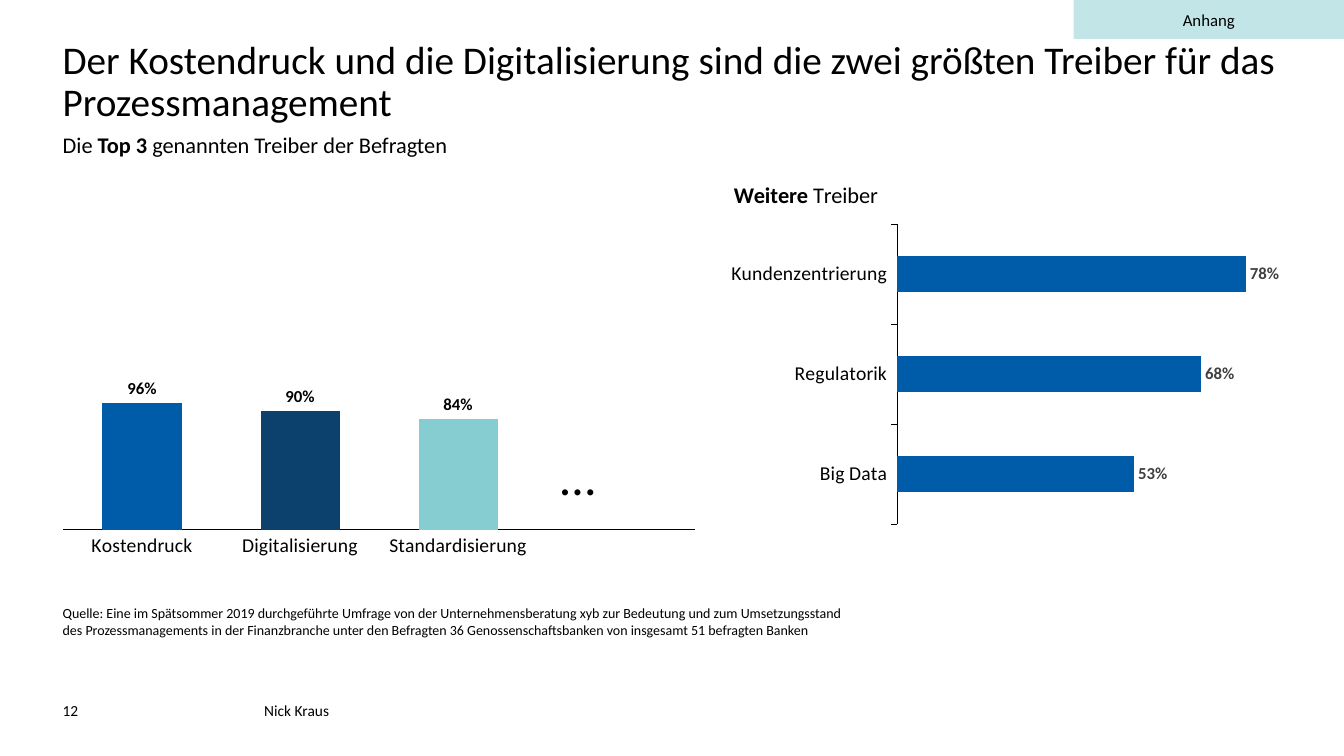
"""Build the slide on the drivers of process management."""
from dataclasses import dataclass
from typing import Optional

from lxml.etree import SubElement
from pptx import Presentation
from pptx.chart.chart import Chart
from pptx.chart.data import CategoryChartData
from pptx.dml.color import RGBColor
from pptx.enum.chart import XL_CHART_TYPE as ChartType
from pptx.enum.chart import XL_LABEL_POSITION as LabelPos
from pptx.enum.chart import XL_TICK_LABEL_POSITION as TickLabel
from pptx.enum.chart import XL_TICK_MARK as Tick
from pptx.enum.shapes import MSO_SHAPE as Shape
from pptx.enum.text import MSO_ANCHOR as Anchor
from pptx.enum.text import PP_ALIGN as Align
from pptx.oxml.ns import qn
from pptx.util import Cm, Pt

FONT = "Calibri"
COLORS = {
    "text": "000000",
    "label": "404040",
    "blue": "005CA9",
    "navy": "0C406D",
    "teal": "86CDD2",
    "tag": "C2E6E8",
}
LEFT = 1.58


@dataclass
class Box:
    x: float
    y: float
    w: float
    h: float

    def lengths(self) -> tuple:
        return Cm(self.x), Cm(self.y), Cm(self.w), Cm(self.h)


@dataclass
class Text:
    box: Box
    lines: list
    size: float
    bold: str = ""
    spacing: object = None
    anchor: Anchor = Anchor.TOP
    tabs: tuple = ()


@dataclass
class Title:
    x: float
    y: float
    line: str
    bold: str


@dataclass
class BarChart:
    box: Box
    plot: Box
    kind: ChartType
    cats: list
    values: list
    colors: list
    gap: int
    overlap: int
    top: float
    tick: Tick
    label_color: str
    title: Optional[Title] = None


TEXTS = [
    Text(Box(LEFT, 1.02, 30.71, 2.46),
         ["Der Kostendruck und die Digitalisierung sind die zwei größten "
          "Treiber für das Prozessmanagement"], 28, spacing=0.9),
    Text(Box(LEFT, 17.68, 9.45, 0.43), ["12\t\tNick Kraus"], 11,
         anchor=Anchor.MIDDLE, tabs=(2.54, 5.08)),
    Text(Box(LEFT, 3.3, 21.62, 0.91),
         ["Die Top 3 genannten Treiber der Befragten"], 16, bold="Top 3 "),
    Text(Box(LEFT, 15.24, 21.64, 1.19),
         ["Quelle: Eine im Spätsommer 2019 durchgeführte Umfrage von der "
          "Unternehmensberatung xyb zur Bedeutung und zum Umsetzungsstand",
          "des Prozessmanagements in der Finanzbranche unter den Befragten "
          "36 Genossenschaftsbanken von insgesamt 51 befragten Banken"], 10),
    Text(Box(14.12, 11.86, 2.79, 0.99), ["…"], 36, spacing=Pt(25)),
]

CHARTS = [
    BarChart(Box(LEFT, 5.03, 21.64, 10.8), Box(0, 0, 15.94, 8.32),
             ChartType.COLUMN_CLUSTERED,
             ["Kostendruck", "Digitalisierung", "Standardisierung"],
             [0.96, 0.9, 0.84, None], ["blue", "navy", "teal"],
             100, -25, 2.5, Tick.NONE, "text"),
    BarChart(Box(18.11, 4.22, 14.94, 9.17), Box(4.5, 1.43, 10.14, 7.56),
             ChartType.BAR_CLUSTERED,
             ["Big Data", "Regulatorik", "Kundenzentrierung"],
             [0.53, 0.68, 0.78], ["blue"] * 3,
             182, 0, 0.9, Tick.OUTSIDE, "label",
             Title(0.31, 0.25, "Weitere Treiber", "Weitere")),
]


def rgb(name: str) -> RGBColor:
    return RGBColor.from_string(COLORS[name])


def style(font, size: float, color: str = "text", bold: bool = False) -> None:
    font.name, font.size, font.bold = FONT, Pt(size), bold
    font.color.rgb = rgb(color)


def write(p, line: str, size: float, bold: str = "") -> None:
    before, mark, after = line.partition(bold) if bold else (line, "", "")
    for part in filter(None, (before, mark, after)):
        r = p.add_run()
        r.text = part
        style(r.font, size, bold=part == bold)


def set_tabs(p, stops: tuple) -> None:
    tab_list = SubElement(p._p.get_or_add_pPr(), qn("a:tabLst"))
    for stop in stops:
        SubElement(tab_list, qn("a:tab"), pos=str(Cm(stop)), algn="l")


def add_text(s, text: Text) -> None:
    tf = s.shapes.add_textbox(*text.box.lengths()).text_frame
    tf.word_wrap = True
    tf.vertical_anchor = text.anchor
    tf.margin_left = tf.margin_right = tf.margin_top = tf.margin_bottom = 0
    for i, line in enumerate(text.lines):
        p = tf.add_paragraph() if i else tf.paragraphs[0]
        if text.tabs:
            set_tabs(p, text.tabs)
        p.line_spacing = text.spacing
        write(p, line, text.size, text.bold)


def add_tag(s, box: Box, label: str) -> None:
    sp = s.shapes.add_shape(Shape.RECTANGLE, *box.lengths())
    sp.shadow.inherit = False
    sp.fill.solid()
    sp.fill.fore_color.rgb = rgb("tag")
    sp.line.fill.background()
    p = sp.text_frame.paragraphs[0]
    p.alignment = Align.CENTER
    write(p, label, 12)


def place(chart: Chart, tag: str, index: int, **fractions: float) -> None:
    parent = chart.element.find(".//" + qn(tag))
    for old in parent.findall(qn("c:layout")):
        parent.remove(old)
    layout = SubElement(parent, qn("c:layout"))
    parent.insert(index, layout)
    manual = SubElement(layout, qn("c:manualLayout"))
    if "w" in fractions:
        SubElement(manual, qn("c:layoutTarget"), val="inner")
    for key in ("x", "y"):
        SubElement(manual, qn(f"c:{key}Mode"), val="edge")
    for key, value in fractions.items():
        SubElement(manual, qn(f"c:{key}"), val=str(value))


def style_axes(chart: Chart, bars: BarChart) -> None:
    cat, val = chart.category_axis, chart.value_axis
    cat.major_tick_mark, cat.minor_tick_mark = bars.tick, Tick.NONE
    cat.has_major_gridlines = val.has_major_gridlines = False
    style(cat.tick_labels.font, 14)
    cat.format.line.color.rgb = rgb("text")
    cat.format.line.width = Pt(0.4)
    val.minimum_scale, val.maximum_scale = 0, bars.top
    val.major_tick_mark = val.minor_tick_mark = Tick.NONE
    val.tick_label_position = TickLabel.NONE
    val.format.line.fill.background()


def add_bars(s, bars: BarChart) -> None:
    data = CategoryChartData(number_format="0%")
    data.categories = bars.cats
    data.add_series("Series 1", bars.values)
    chart = s.shapes.add_chart(bars.kind, *bars.box.lengths(), data).chart
    style(chart.font, 10)
    chart.has_legend = False
    chart.has_title = bars.title is not None
    box, area, title = bars.box, bars.plot, bars.title
    if title:
        p = chart.chart_title.text_frame.paragraphs[0]
        write(p, title.line, 16, title.bold)
        place(chart, "c:title", 1, x=title.x / box.w, y=title.y / box.h)
    place(chart, "c:plotArea", 0, x=area.x / box.w, y=area.y / box.h,
          w=area.w / box.w, h=area.h / box.h)
    style_axes(chart, bars)
    plot = chart.plots[0]
    plot.vary_by_categories = False
    plot.gap_width, plot.overlap = bars.gap, bars.overlap
    series = plot.series[0]
    for i, color in enumerate(bars.colors):
        fill = series.points[i].format.fill
        fill.solid()
        fill.fore_color.rgb = rgb(color)
    labels = series.data_labels
    labels.show_value = True
    labels.number_format, labels.number_format_is_linked = "0%", False
    labels.position = LabelPos.OUTSIDE_END
    style(labels.font, 12, bars.label_color, bold=True)


def main() -> None:
    prs = Presentation()
    prs.slide_width, prs.slide_height = Cm(33.87), Cm(19.05)
    s = prs.slides.add_slide(prs.slide_layouts[6])
    for bars in CHARTS:
        add_bars(s, bars)
    for text in TEXTS:
        add_text(s, text)
    add_tag(s, Box(27.06, 0, 6.81, 0.98), "Anhang")
    prs.save("out.pptx")


if __name__ == "__main__":
    main()
